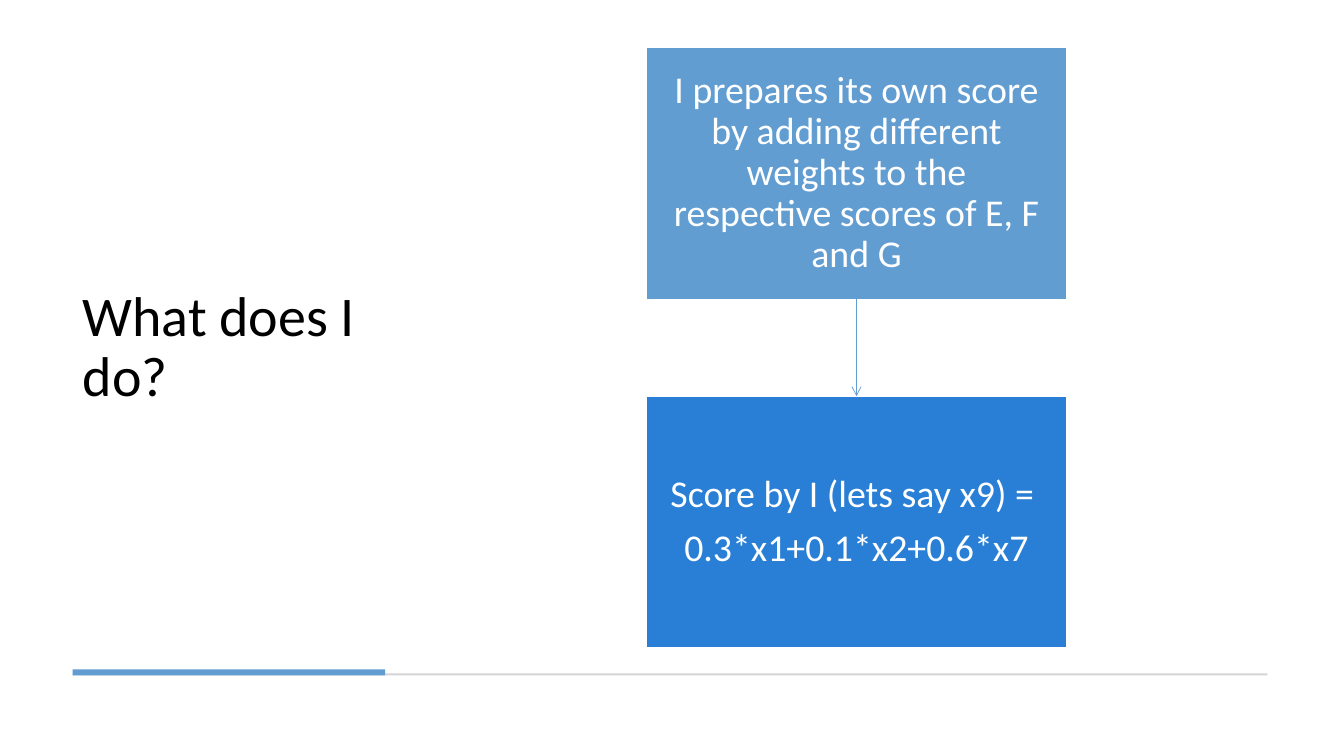
from lxml.etree import SubElement
from pptx import Presentation
from pptx.dml.color import RGBColor
from pptx.enum.shapes import MSO_CONNECTOR, MSO_SHAPE
from pptx.enum.text import MSO_ANCHOR, MSO_AUTO_SIZE, PP_ALIGN
from pptx.oxml.ns import qn
from pptx.util import Inches, Pt

FONT = "Calibri"
SKY, BLUE, GREY, WHITE, BLACK = "629DD1", "297FD5", "D5D5D5", "FFFFFF", "000000"
MARGIN, TOP = 0.72, 0.47
STEP_LEFT, STEP_WIDTH, STEP_HEIGHT, STEP_PITCH = 6.41, 4.17, 2.5, 3.46
STEPS = [
    (SKY, "I prepares its own score by adding different weights "
          "to the respective scores of E, F and G"),
    (BLUE, "Score by I (lets say x9) = \n0.3*x1+0.1*x2+0.6*x7"),
]


def color(value):
    """Turn a hex string into a colour."""
    return RGBColor.from_string(value)


def write_text(frame, text, size, ink, align, space_after=0):
    """Fill a text frame and format its paragraphs and runs."""
    frame.text = text
    frame.word_wrap = True
    frame.auto_size = MSO_AUTO_SIZE.NONE
    frame.vertical_anchor = MSO_ANCHOR.MIDDLE
    for para in frame.paragraphs:
        para.alignment = align
        para.line_spacing = 0.9
        para.space_before = Pt(0)
        para.space_after = Pt(space_after)
        for span in para.runs:
            span.font.name = FONT
            span.font.size = Pt(size)
            span.font.color.rgb = color(ink)


def add_title(page, text):
    """Place the title at the left of the slide."""
    title = page.shapes.title
    title.left, title.top = Inches(MARGIN), Inches(TOP)
    title.width, title.height = Inches(3.1), Inches(5.97)
    write_text(title.text_frame, text, 40, BLACK, PP_ALIGN.LEFT)


def add_box(page, left, top, width, height, fill):
    """Add a plain filled rectangle."""
    box = page.shapes.add_shape(
        MSO_SHAPE.RECTANGLE, Inches(left), Inches(top), Inches(width), Inches(height))
    box.shadow.inherit = False
    box.fill.solid()
    box.fill.fore_color.rgb = color(fill)
    box.line.fill.background()
    return box


def add_step(page, top, fill, text):
    """Add one step of the flow with its text."""
    box = add_box(page, STEP_LEFT, top, STEP_WIDTH, STEP_HEIGHT, fill)
    box.line.color.rgb = color(WHITE)
    box.line.width = Pt(1)
    frame = box.text_frame
    frame.margin_left = frame.margin_right = Inches(0.2)
    frame.margin_top = frame.margin_bottom = Inches(0.21)
    write_text(frame, text, 27, WHITE, PP_ALIGN.CENTER, space_after=9.45)
    return box


def add_arrow(page, upper, lower):
    """Join the bottom of one box to the top of the next."""
    arrow = page.shapes.add_connector(MSO_CONNECTOR.STRAIGHT, 0, 0, 0, 0)
    arrow.begin_connect(upper, 2)
    arrow.end_connect(lower, 0)
    arrow.line.color.rgb = color(SKY)
    arrow.line.width = Pt(0.5)
    properties = arrow.line._get_or_add_ln()
    SubElement(properties, qn("a:tailEnd"), type="arrow")
    SubElement(properties.getparent(), qn("a:effectLst"))


def main():
    """Build and save the slide."""
    deck = Presentation()
    deck.slide_width, deck.slide_height = Inches(13.33), Inches(7.5)
    page = deck.slides.add_slide(deck.slide_layouts[5])
    add_title(page, "What does I do?")
    add_box(page, MARGIN, 6.68, 11.85, 0.02, GREY)
    add_box(page, MARGIN, 6.64, 3.1, 0.06, SKY)
    upper, lower = [
        add_step(page, TOP + index * STEP_PITCH, fill, text)
        for index, (fill, text) in enumerate(STEPS)]
    add_arrow(page, upper, lower)
    deck.save("out.pptx")


if __name__ == "__main__":
    main()
